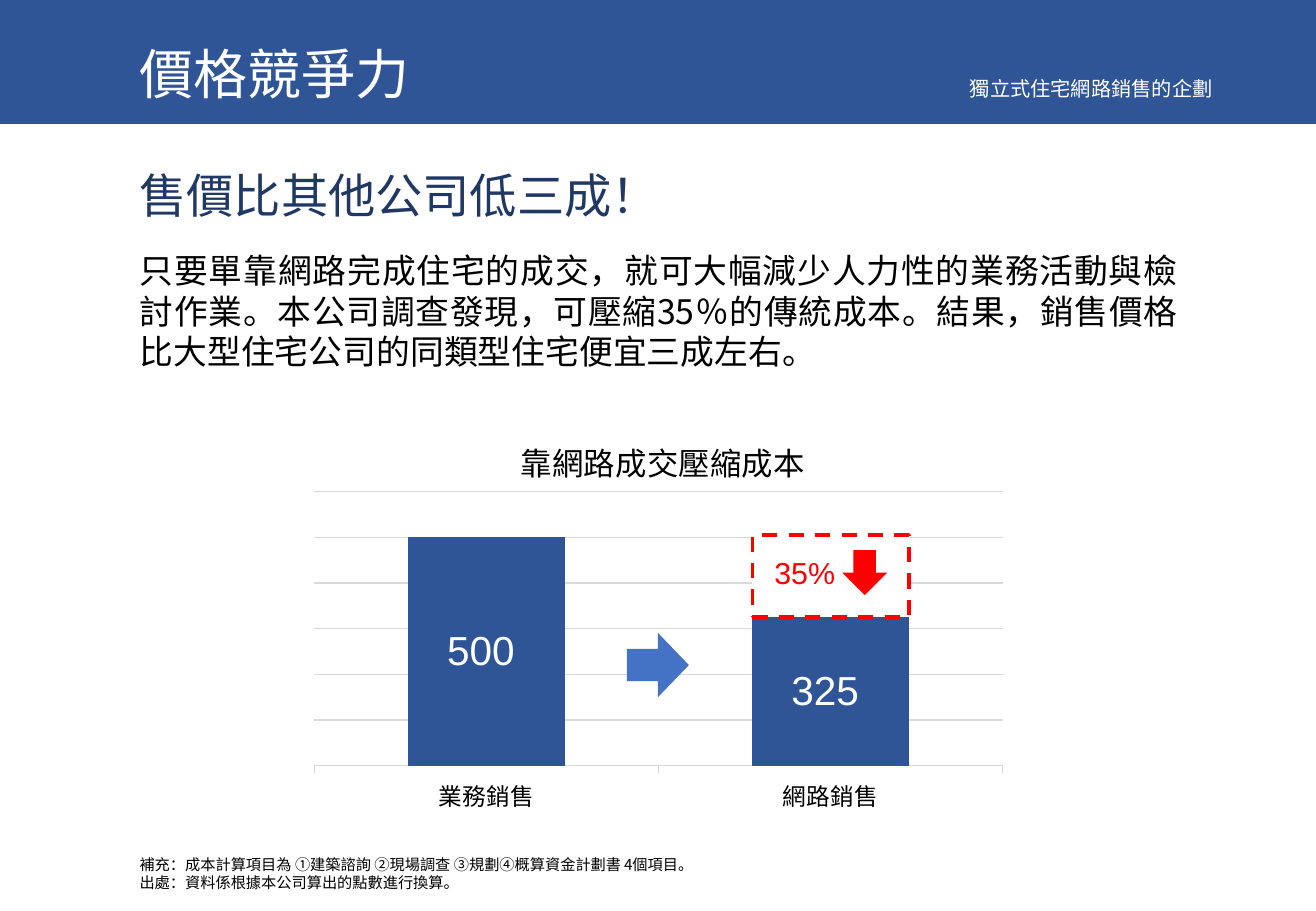
from lxml import etree
from pptx import Presentation
from pptx.chart.data import CategoryChartData
from pptx.dml.color import RGBColor
from pptx.enum.chart import XL_CHART_TYPE, XL_LABEL_POSITION, XL_TICK_MARK
from pptx.enum.dml import MSO_LINE
from pptx.enum.shapes import MSO_SHAPE
from pptx.enum.text import MSO_ANCHOR, MSO_AUTO_SIZE, PP_ALIGN
from pptx.oxml import parse_xml
from pptx.oxml.ns import nsdecls, qn
from pptx.util import Inches, Pt

LEFT, RIGHT, JUSTIFY = PP_ALIGN.LEFT, PP_ALIGN.RIGHT, PP_ALIGN.JUSTIFY
RECTANGLE, DOWN_ARROW = MSO_SHAPE.RECTANGLE, MSO_SHAPE.DOWN_ARROW
TOP, FIXED_SIZE = MSO_ANCHOR.TOP, MSO_AUTO_SIZE.NONE
STACKED, CENTER = XL_CHART_TYPE.COLUMN_STACKED, XL_LABEL_POSITION.CENTER
OUTSIDE, DASH = XL_TICK_MARK.OUTSIDE, MSO_LINE.DASH

NAVY = RGBColor(0x2F, 0x55, 0x97)
DARK_NAVY = RGBColor(0x20, 0x38, 0x64)
BLUE = RGBColor(0x44, 0x72, 0xC4)
ORANGE = RGBColor(0xED, 0x7D, 0x31)
RED = RGBColor(0xFF, 0x00, 0x00)
GRAY = RGBColor(0xD9, 0xD9, 0xD9)
BLACK = RGBColor(0x00, 0x00, 0x00)
WHITE = RGBColor(0xFF, 0xFF, 0xFF)

CJK_FONT = "Noto Sans CJK SC"
LATIN_FONT = "Arial"
MARGIN = 9.7  # left edge of the text, in percent of the width


class SlideBuilder:
    """Places elements on a grid of 100 columns and 100 rows."""

    def __init__(self, presentation):
        self.column = presentation.slide_width / 100
        self.row = presentation.slide_height / 100
        self.slide = presentation.slides.add_slide(presentation.slide_layouts[1])
        self.shapes = self.slide.shapes

    def box(self, left, top, width, height):
        return (round(left * self.column), round(top * self.row),
                round(width * self.column), round(height * self.row))

    def set_font(self, font, size, color, name=CJK_FONT):
        font.size, font.name = Pt(size), name
        font.color.rgb = color
        east_asian = etree.SubElement(font._element, qn("a:ea"))
        east_asian.set("typeface", name)

    def fill_text(self, shape, grid, lines, size, color, align=LEFT,
                  name=CJK_FONT, wrap=True):
        shape.left, shape.top, shape.width, shape.height = self.box(*grid)
        frame = shape.text_frame
        frame.word_wrap, frame.auto_size = wrap, FIXED_SIZE
        frame.vertical_anchor = TOP
        if name == CJK_FONT:
            frame.margin_top = Inches(0.05 + 0.0014 * size)
        frame.text = "\n".join(lines)
        for paragraph in frame.paragraphs:
            paragraph.alignment = align
            paragraph.space_before = Pt(0)
            paragraph.line_spacing = Pt(1.2 * size)
            if shape.is_placeholder:
                properties = paragraph._p.get_or_add_pPr()
                properties.set("marL", "0")
                properties.set("indent", "0")
                etree.SubElement(properties, qn("a:buNone"))
            self.set_font(paragraph.font, size, color, name)

    def text(self, grid, *style, **options):
        self.fill_text(self.shapes.add_textbox(*self.box(*grid)), grid,
                       *style, **options)

    def shape(self, kind, grid, color, rotation=0):
        shape = self.shapes.add_shape(kind, *self.box(*grid))
        shape.shadow.inherit = False
        shape.fill.solid()
        shape.fill.fore_color.rgb = color
        shape.line.fill.background()
        shape.rotation = rotation
        return shape

    def layout(self, parent, **shares):
        """Fix the position of a chart part by shares of the chart's size."""
        target = '<c:layoutTarget val="inner"/>' if "w" in shares else ""
        modes = "".join(f'<c:{axis}Mode val="edge"/>' for axis in "xy")
        values = "".join(f'<c:{key} val="{value}"/>' for key, value in shares.items())
        for old in parent.findall(qn("c:layout")):
            parent.remove(old)
        layout = parse_xml(f'<c:layout {nsdecls("c")}><c:manualLayout>{target}'
                           f'{modes}{values}</c:manualLayout></c:layout>')
        text = parent.find(qn("c:tx"))
        if text is None:
            parent.insert(0, layout)
        else:
            text.addnext(layout)

    def cost_chart(self, grid, title, categories, series):
        data = CategoryChartData()
        data.categories = categories
        for name, values in series.items():
            data.add_series(name, values)
        chart = self.shapes.add_chart(STACKED, *self.box(*grid), data).chart
        chart.has_legend = False
        self.set_font(chart.font, 10, BLACK, LATIN_FONT)

        # Title and plot area
        chart.has_title = True
        chart.chart_title.include_in_layout = False
        heading = chart.chart_title.text_frame
        heading.text = title
        heading.paragraphs[0].font.bold = False
        self.set_font(heading.paragraphs[0].font, 18.6, BLACK)
        self.layout(chart.chart_title._element, x=0.3, y=0.06)
        self.layout(chart._chartSpace.chart.plotArea, x=0.02, y=0.21, w=0.96, h=0.66)

        # Axes
        category_axis, value_axis = chart.category_axis, chart.value_axis
        category_axis.major_tick_mark = OUTSIDE
        self.set_font(category_axis.tick_labels.font, 14, BLACK)
        value_axis.minimum_scale, value_axis.maximum_scale = 0, 600
        value_axis.major_unit = 100
        value_axis.has_major_gridlines = True
        for line in (category_axis.format.line, value_axis.major_gridlines.format.line):
            line.color.rgb, line.width = GRAY, Pt(0.75)
        value_axis.visible = False

        # Cost columns and the dashed saving above the second one
        plot = chart.plots[0]
        plot.gap_width, plot.overlap, plot.vary_by_categories = 120, 100, False
        cost, saving = plot.series
        for part, color in ((cost, BLUE), (saving, ORANGE), (cost.points[0], NAVY),
                            (cost.points[1], NAVY), (saving.points[1], WHITE)):
            part.format.fill.solid()
            part.format.fill.fore_color.rgb = color
        border = saving.points[1].format.line
        border.color.rgb, border.width = RED, Pt(2.25)
        border.dash_style = DASH
        labels = cost.data_labels
        labels.show_value, labels.position = True, CENTER
        labels.number_format, labels.number_format_is_linked = "#,##0_ ", False
        self.set_font(labels.font, 24, WHITE, LATIN_FONT)


def main():
    presentation = Presentation()
    presentation.slide_width, presentation.slide_height = Inches(10.83), Inches(7.5)
    builder = SlideBuilder(presentation)
    title, body = builder.slide.placeholders

    # Header band, behind the title
    band = builder.shape(RECTANGLE, (0, 0, 100, 13.6), NAVY)
    title.element.addprevious(band.element)
    builder.fill_text(title, (MARGIN, 3.2, 50.7, 8.5), ["價格競爭力"], 32, WHITE)
    builder.text((64.36, 7.47, 28.72, 6.67), ["獨立式住宅網路銷售的企劃"], 12, WHITE, RIGHT)

    # Message
    builder.text((MARGIN, 17.07, 80.7, 7.6), ["售價比其他公司低三成！"],
                 28, DARK_NAVY, JUSTIFY)
    builder.fill_text(body, (MARGIN, 26.4, 80.7, 14.8), [
        "只要單靠網路完成住宅的成交，就可大幅減少人力性的業務活動與檢討作業。"
        "本公司調查發現，可壓縮35％的傳統成本。"
        "結果，銷售價格比大型住宅公司的同類型住宅便宜三成左右。"], 20, BLACK, JUSTIFY)

    # Cost comparison
    builder.cost_chart((22.8, 44.4, 54.5, 45.6), "靠網路成交壓縮成本",
                       ["業務銷售", "網路銷售"],
                       {"Series 1": (500, 325), "Series 2": (0, 180)})
    builder.text((57.8, 60.13, 6.56, 5.33), ["35%"], 18, RED, RIGHT,
                 name=LATIN_FONT, wrap=False)
    builder.shape(DOWN_ARROW, (64, 60.4, 3.42, 4.93), RED)
    builder.shape(DOWN_ARROW, (47.55, 69.6, 4.89, 6.8), BLUE, rotation=270)

    # Footnotes
    builder.text((MARGIN, 93.07, 57, 5.33), [
        "補充：成本計算項目為 ①建築諮詢 ②現場調查 ③規劃④概算資金計劃書 4個項目。",
        "出處：資料係根據本公司算出的點數進行換算。"], 9, BLACK)

    presentation.save("out.pptx")


if __name__ == "__main__":
    main()
